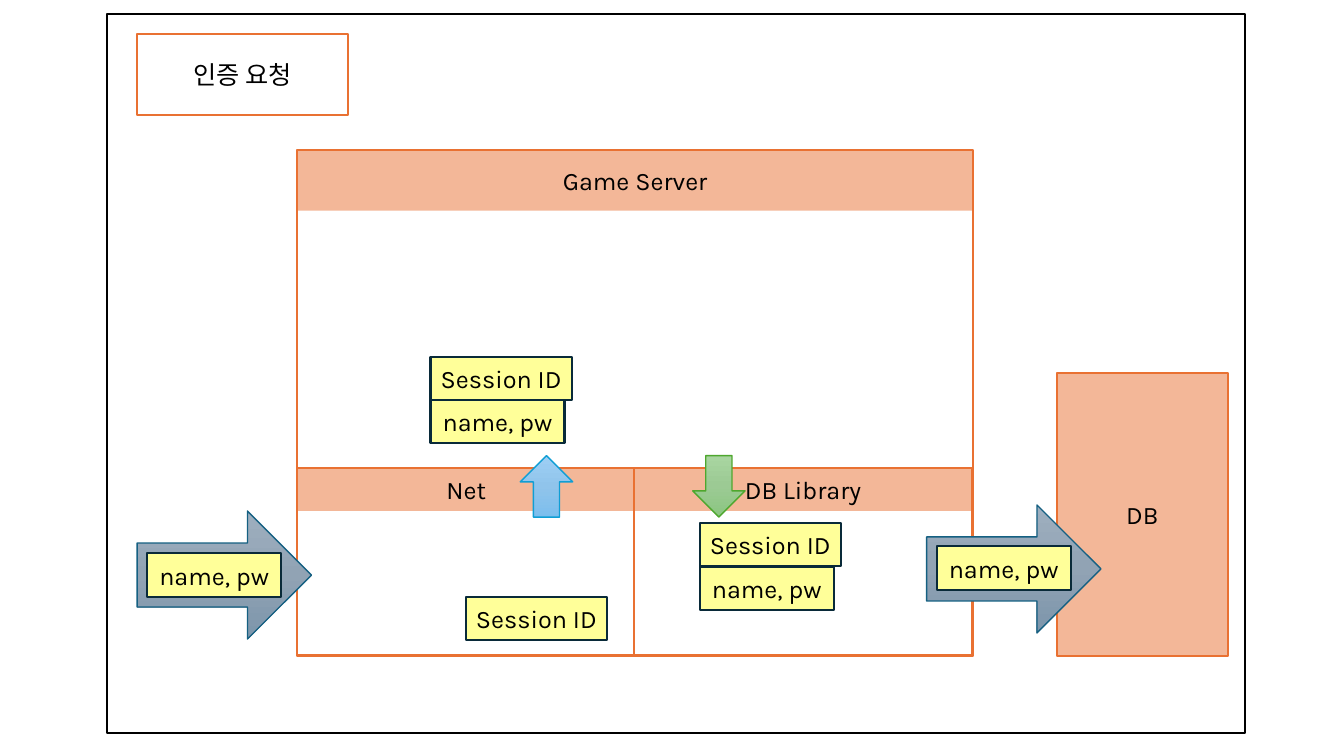
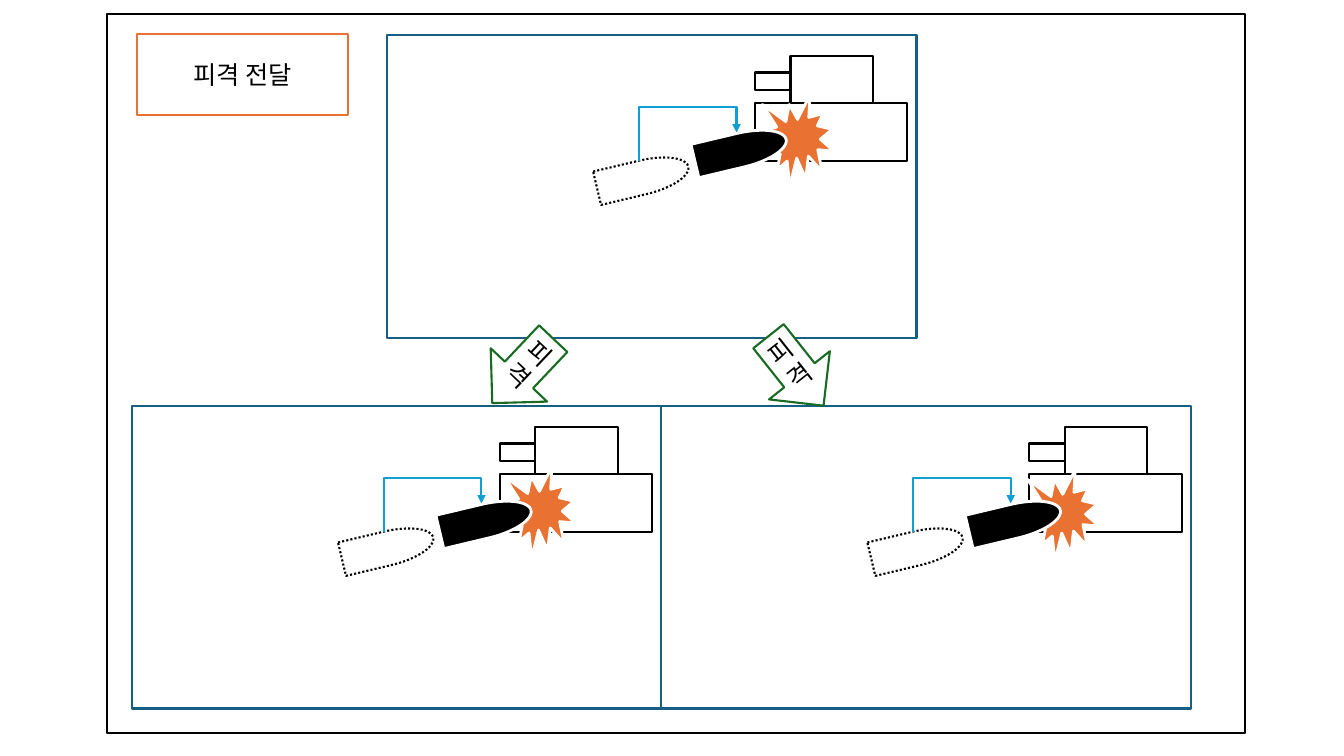
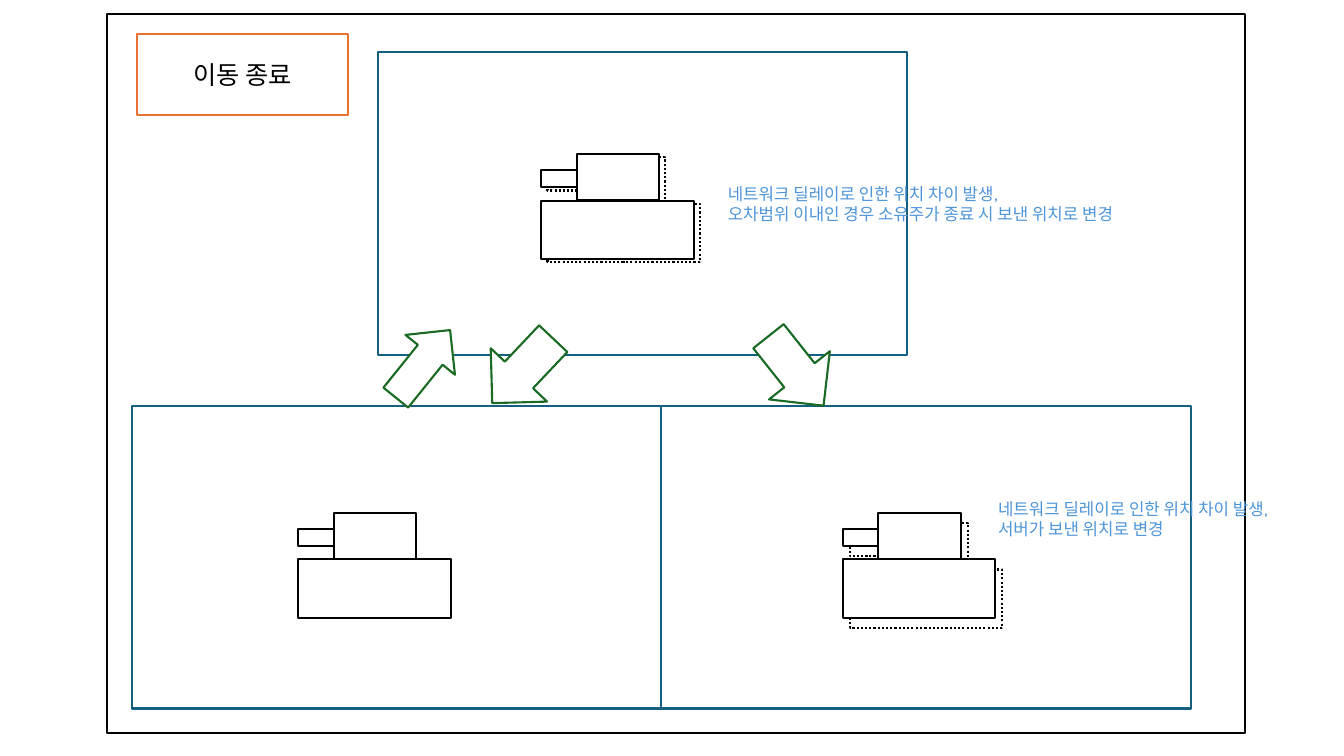
from copy import deepcopy

from lxml import etree
from pptx import Presentation
from pptx.dml.color import RGBColor
from pptx.enum.dml import MSO_LINE
from pptx.enum.shapes import MSO_CONNECTOR, MSO_SHAPE
from pptx.enum.text import MSO_ANCHOR, MSO_AUTO_SIZE, PP_ALIGN
from pptx.oxml.ns import qn
from pptx.util import Inches, Pt

RECT = MSO_SHAPE.RECTANGLE
UP, DOWN, RIGHT = MSO_SHAPE.UP_ARROW, MSO_SHAPE.DOWN_ARROW, MSO_SHAPE.RIGHT_ARROW
SHELL, BURST = MSO_SHAPE.FLOWCHART_DELAY, MSO_SHAPE.EXPLOSION1
DOTTED = MSO_LINE.ROUND_DOT
ELBOW = MSO_CONNECTOR.ELBOW
CENTER, MIDDLE = PP_ALIGN.CENTER, MSO_ANCHOR.MIDDLE
NO_FIT, GROW = MSO_AUTO_SIZE.NONE, MSO_AUTO_SIZE.SHAPE_TO_FIT_TEXT

FONT = "Karla"
COLORS = {
    "black": "000000", "white": "FFFFFF", "orange": "E97132",
    "teal": "156082", "sky": "0F9ED5", "lime": "4EA72E",
    "green": "196B24", "yellow": "FFFF99", "navy": "092A39", "note": "4E95D9",
}
GRADIENTS = {
    "sky": ["9ECFF5", "90C4EB", "7CBEED"],
    "lime": ["A8D5A0", "9CCA94", "8AC680"],
    "teal": ["9EAFBF", "91A3B4", "7C95AB"],
}
RGB = {name: RGBColor.from_string(value) for name, value in COLORS.items()}
PANEL_W, PANEL_H = 5.25, 3
LEFT_PANEL, RIGHT_PANEL = (1.31, 4.03), (6.56, 4.03)


def add_box(s, kind, x, y, w, h, fill="white", line="black", width=1.5, text="",
            dash=None, rot=0):
    sp = s.shapes.add_shape(kind, Inches(x), Inches(y), Inches(w), Inches(h))
    sp.shadow.inherit = False
    sp.rotation = rot
    sp.fill.solid()
    sp.fill.fore_color.rgb = RGB[fill]
    if line:
        sp.line.color.rgb = RGB[line]
        sp.line.width = Pt(width)
        if dash:
            sp.line.dash_style = dash
    else:
        sp.line.fill.background()
    if text:
        tf = sp.text_frame
        tf.word_wrap = True
        tf.vertical_anchor = MIDDLE
        tf.margin_left = tf.margin_right = Inches(0.05)
        p = tf.paragraphs[0]
        p.alignment = CENTER
        r = p.add_run()
        r.text = text
        r.font.name, r.font.size = FONT, Pt(18)
        r.font.color.rgb = RGB["black"]
    return sp


def add_tank(s, x, y, dash=None):
    """Turret, hull and barrel; x, y is the top left of the hull."""
    add_box(s, RECT, x + 0.35, y - 0.46, 0.82, 0.46, dash=dash)
    add_box(s, RECT, x, y, 1.51, 0.58, dash=dash)
    add_box(s, RECT, x, y - 0.3, 0.35, 0.17, dash=dash)


prs = Presentation()
prs.slide_width, prs.slide_height = Inches(13.33), Inches(7.5)

# Frame and title shared by all slides
slides = []
for heading in ["인증 요청", "피격 전달", "이동 종료"]:
    s = prs.slides.add_slide(prs.slide_layouts[5])
    frame = add_box(s, RECT, 1.06, 0.14, 11.29, 7.13)
    title = s.shapes.title
    frame.element.addnext(title.element)
    title.left, title.top = Inches(1.36), Inches(0.34)
    title.width, title.height = Inches(2.09), Inches(0.8)
    title.fill.solid()
    title.fill.fore_color.rgb = RGB["white"]
    title.line.color.rgb = RGB["orange"]
    title.line.width = Pt(1.5)
    tf = title.text_frame
    tf.word_wrap, tf.auto_size, tf.vertical_anchor = True, NO_FIT, MIDDLE
    p = tf.paragraphs[0]
    p.alignment = CENTER
    r = p.add_run()
    r.text = heading
    r.font.name, r.font.size = FONT, Pt(18)
    r.font.color.rgb = RGB["black"]
    slides.append(s)
auth, hit, stop = slides

# Authentication: modules, each with a half-transparent header
for x, y, w, h, header_h, name in [
    (2.95, 1.49, 6.7, 5.02, 0.6, "Game Server"),
    (2.95, 4.64, 3.35, 1.86, 0.43, "Net"),
    (6.29, 4.64, 3.35, 1.86, 0.43, "DB Library"),
    (10.48, 3.7, 1.7, 2.81, 2.81, "DB"),
]:
    add_box(auth, RECT, x, y, w, h, line="orange")
    header = add_box(auth, RECT, x, y, w, header_h, "orange", None, text=name)
    color = header.element.xpath("./p:spPr/a:solidFill/a:srgbClr")[0]
    etree.SubElement(color, qn("a:alpha")).set("val", "50000")

# Authentication: gradient arrows
for kind, x, y, w, h, tone in [
    (UP, 5.16, 4.52, 0.52, 0.61, "sky"),
    (DOWN, 6.87, 4.52, 0.52, 0.61, "lime"),
    (RIGHT, 1.36, 5.07, 1.73, 1.27, "teal"),
    (RIGHT, 9.19, 5.01, 1.73, 1.27, "teal"),
]:
    sp = add_box(auth, kind, x, y, w, h, line=tone, width=1)
    sp.fill.gradient()
    sp.fill.gradient_angle = 270
    first = sp.element.xpath("./p:spPr/a:gradFill/a:gsLst/a:gs")[0]
    first.addnext(deepcopy(first))
    for i, stop_color in enumerate(sp.fill.gradient_stops):
        stop_color.position = i / 2
        stop_color.color.rgb = RGBColor.from_string(GRADIENTS[tone][i])

# Authentication: data tags
for x, y, w, label in [
    (1.46, 5.49, 1.33, "name, pw"),
    (4.62, 5.92, 1.4, "Session ID"),
    (4.27, 3.97, 1.33, "name, pw"),
    (4.27, 3.54, 1.4, "Session ID"),
    (9.29, 5.42, 1.33, "name, pw"),
    (6.94, 5.19, 1.4, "Session ID"),
    (6.94, 5.62, 1.33, "name, pw"),
]:
    add_box(auth, RECT, x, y, w, 0.43, "yellow", "navy", text=label)

# Hit: the same scene in the server panel and both client panels
for (x, y), burst_x, burst_y in [
    ((3.84, 0.35), 3.71, 0.59),
    (LEFT_PANEL, 3.68, 0.6),
    (RIGHT_PANEL, 3.62, 0.63),
]:
    add_box(hit, RECT, x, y, PANEL_W, PANEL_H, line="teal")
    add_box(hit, SHELL, x + 2.07, y + 1.24, 0.93, 0.34, dash=DOTTED, rot=346.6)

    # Elbow path, turned a quarter so that it rises before it falls
    cx, cy = x + 2.84, y + 0.62
    path_line = hit.shapes.add_connector(
        ELBOW, Inches(cx + 0.28), Inches(cy + 0.97), Inches(cx), Inches(cy))
    path_line.line.color.rgb = RGB["sky"]
    path_line.line.width = Pt(1.5)
    path_line.element.xpath("./p:spPr/a:xfrm")[0].set("rot", "5400000")
    geom = path_line.element.xpath("./p:spPr/a:prstGeom")[0]
    for guides in geom.findall(qn("a:avLst")):
        geom.remove(guides)
    guides = etree.SubElement(geom, qn("a:avLst"))
    guide = etree.SubElement(guides, qn("a:gd"))
    guide.set("name", "adj1")
    guide.set("fmla", "val 191700")
    ln = path_line.element.xpath("./p:spPr/a:ln")[0]
    etree.SubElement(ln, qn("a:tailEnd")).set("type", "triangle")
    ln.addnext(etree.Element(qn("a:effectLst")))

    add_tank(hit, x + 3.65, y + 0.67)
    add_box(hit, BURST, x + burst_x, y + burst_y, 0.72, 0.91, "orange", "white", 2)
    add_box(hit, SHELL, x + 3.04, y + 0.97, 0.93, 0.34, "black", "white", 2, rot=346.6)

# Stop: panels and tanks, dotted where the position differs
for x, y in [LEFT_PANEL, (3.75, 0.52), RIGHT_PANEL]:
    add_box(stop, RECT, x, y, PANEL_W, PANEL_H, line="teal")
for x, y, dash in [
    (2.96, 5.55, None),
    (5.43, 2.02, DOTTED),
    (5.37, 1.99, None),
    (8.43, 5.65, DOTTED),
    (8.36, 5.55, None),
]:
    add_tank(stop, x, y, dash)

# Arrows from the server panel to the clients, and back
for s, label in [(hit, "피격"), (stop, "")]:
    for x, rot in [(4.8, 43.4), (7.51, 321.6)]:
        add_box(s, DOWN, x, 3.24, 0.77, 0.88, line="green", text=label, rot=rot)
add_box(stop, UP, 3.88, 3.18, 0.63, 0.86, line="green", rot=38.8)

# Stop: notes on the position difference
for x, y, w, action in [
    (7.12, 1.77, 4.35, "오차범위 이내인 경우 소유주가 종료 시 보낸 위치로 변경"),
    (9.8, 4.9, 3.12, "서버가 보낸 위치로 변경"),
]:
    tf = stop.shapes.add_textbox(Inches(x), Inches(y), Inches(w), Inches(0.5)).text_frame
    tf.word_wrap, tf.auto_size = False, GROW
    for i, text in enumerate(["네트워크 딜레이로 인한 위치 차이 발생,", action]):
        p = tf.add_paragraph() if i else tf.paragraphs[0]
        r = p.add_run()
        r.text = text
        r.font.name, r.font.size = FONT, Pt(12)
        r.font.color.rgb = RGB["note"]

prs.save("out.pptx")
